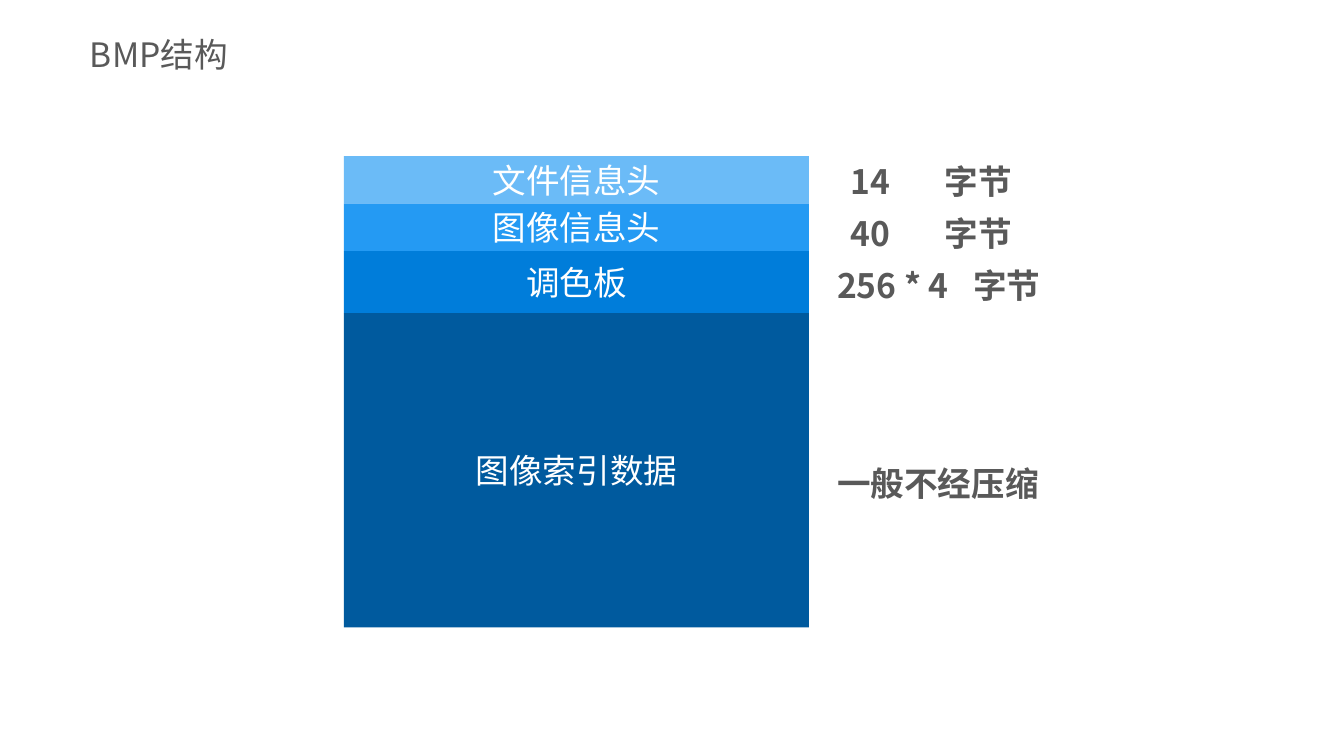
from lxml import etree
from pptx import Presentation
from pptx.dml.color import RGBColor
from pptx.enum.shapes import MSO_SHAPE
from pptx.enum.text import MSO_ANCHOR, MSO_AUTO_SIZE, PP_ALIGN
from pptx.oxml.ns import qn
from pptx.util import Cm, Pt

RECTANGLE = MSO_SHAPE.RECTANGLE
MIDDLE = MSO_ANCHOR.MIDDLE
NO_AUTOFIT = MSO_AUTO_SIZE.NONE
LEFT, CENTER = PP_ALIGN.LEFT, PP_ALIGN.CENTER

GRAY = RGBColor(0x59, 0x59, 0x59)
WHITE = RGBColor(0xFF, 0xFF, 0xFF)
BRIGHT_BLUE = RGBColor(0x00, 0x8A, 0xF2)
MEDIUM_BLUE = RGBColor(0x00, 0x7D, 0xDA)
DARK_BLUE = RGBColor(0x00, 0x5A, 0x9E)

FONT_NAME = "Noto Sans CJK SC"
FRAME_FORMAT = {
    "word_wrap": True,
    "auto_size": NO_AUTOFIT,
    "vertical_anchor": MIDDLE,
    "margin_left": 0,
    "margin_right": 0,
    "margin_top": Cm(0.13),
    "margin_bottom": Cm(0.13),
}


def write_text(shape, text, color, bold=False, alignment=LEFT, tab_stop=None):
    frame = shape.text_frame
    for name, value in FRAME_FORMAT.items():
        setattr(frame, name, value)
    paragraph = frame.paragraphs[0]
    paragraph.alignment = alignment
    if tab_stop:
        tabs = etree.SubElement(paragraph._p.get_or_add_pPr(), qn("a:tabLst"))
        etree.SubElement(tabs, qn("a:tab"), pos=str(Cm(tab_stop)), algn="l")
    run = paragraph.add_run()
    run.text = text
    font_format = {"name": FONT_NAME, "size": Pt(18), "bold": bold}
    for name, value in font_format.items():
        setattr(run.font, name, value)
    run.font.color.rgb = color
    latin = run.font._element.find(qn("a:latin"))
    latin.addnext(latin.makeelement(qn("a:ea"), {"typeface": FONT_NAME}))


presentation = Presentation()
presentation.slide_width = Cm(25.4)
presentation.slide_height = Cm(14.29)
slide = presentation.slides.add_slide(presentation.slide_layouts[5])

title = slide.shapes.title
title_place = {"left": Cm(1.7), "top": Cm(0.48), "width": Cm(3), "height": Cm(1.07)}
for name, value in title_place.items():
    setattr(title, name, value)
write_text(title, "BMP结构", GRAY)

sections = [
    ("文件信息头", 0.9, BRIGHT_BLUE, 58),
    ("图像信息头", 0.9, BRIGHT_BLUE, 86),
    ("调色板", 1.17, MEDIUM_BLUE, 100),
    ("图像索引数据", 5.94, DARK_BLUE, 100),
]
top = 2.95
for text, height, color, opacity in sections:
    section = slide.shapes.add_shape(RECTANGLE, Cm(6.5), Cm(top), Cm(8.79), Cm(height))
    section.shadow.inherit = False
    section.line.fill.background()
    section.fill.solid()
    section.fill.fore_color.rgb = color
    if opacity < 100:
        fill_color = section._element.spPr.find(qn("a:solidFill"))[0]
        etree.SubElement(fill_color, qn("a:alpha"), val=str(opacity * 1000))
    write_text(section, text, WHITE, alignment=CENTER)
    top += height

size_notes = [
    ("14\t字节", 16.08, 2.97, 1.78),
    ("40\t字节", 16.08, 3.96, 1.78),
    ("256 * 4\t字节", 15.82, 4.95, 2.57),
    ("一般不经压缩", 15.82, 8.69, None),
]
for text, left, top, tab_stop in size_notes:
    note = slide.shapes.add_textbox(Cm(left), Cm(top), Cm(4.72), Cm(0.89))
    write_text(note, text, GRAY, bold=True, tab_stop=tab_stop)

presentation.save("out.pptx")
